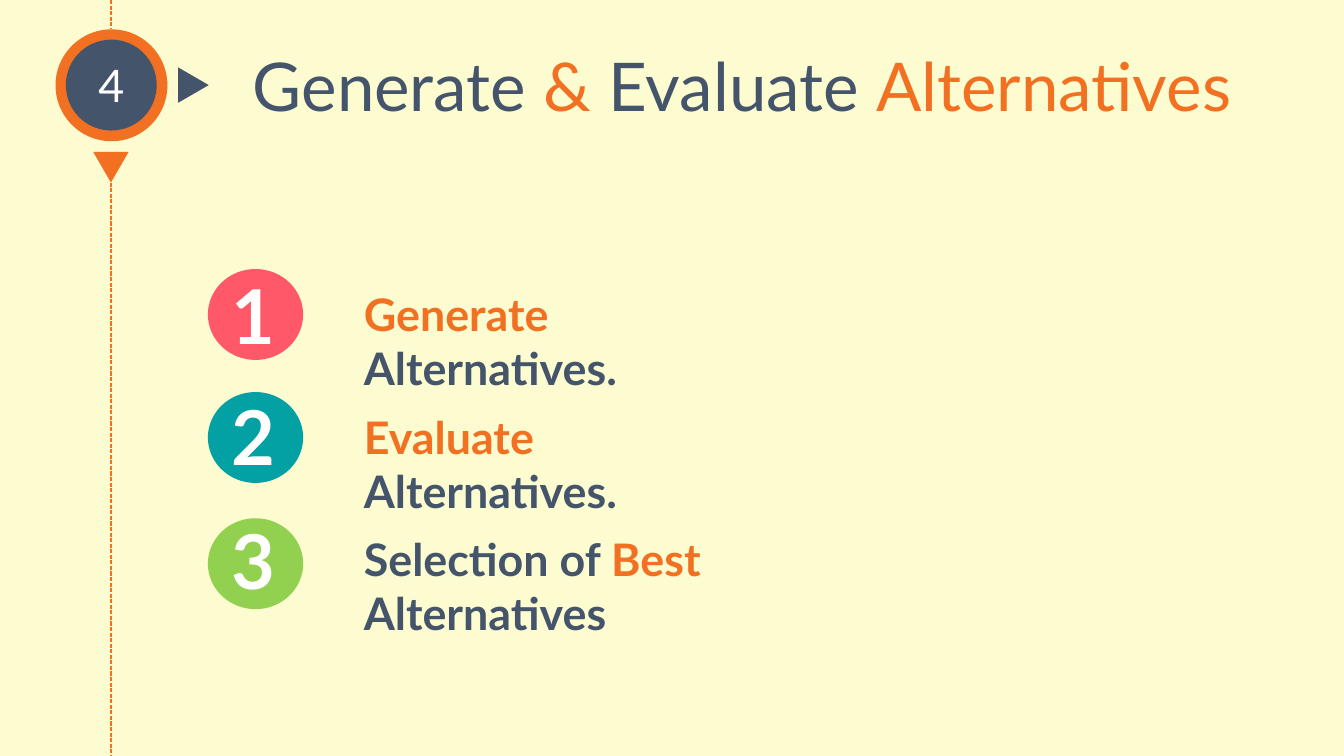
"""Build the decision-step slide on generating and evaluating alternatives."""
from lxml.etree import SubElement
from pptx import Presentation
from pptx.dml.color import RGBColor
from pptx.enum.dml import MSO_LINE
from pptx.enum.shapes import MSO_CONNECTOR, MSO_SHAPE as Preset
from pptx.enum.text import MSO_ANCHOR as Anchor, MSO_AUTO_SIZE as AutoSize, PP_ALIGN as Align
from pptx.oxml.ns import qn
from pptx.util import Cm, Pt

CREAM = RGBColor(0xFD, 0xFB, 0xD0)
ORANGE = RGBColor(0xF2, 0x70, 0x21)
NAVY = RGBColor(0x44, 0x54, 0x6A)
WHITE = RGBColor(0xFF, 0xFF, 0xFF)
CORAL = RGBColor(0xFF, 0x59, 0x69)
TEAL = RGBColor(0x03, 0xA1, 0xA4)
GREEN = RGBColor(0x92, 0xD0, 0x50)

FONT = "Lato"
TIMELINE_X = 2.8


def write_runs(paragraph, runs, size, bold=False, align=Align.LEFT):
    """Fill a paragraph with (text, colour) runs in one style."""
    paragraph.alignment = align
    paragraph.font.name = FONT
    paragraph.font.size = Pt(size)
    paragraph.font.bold = bold
    for text, colour in runs:
        run = paragraph.add_run()
        run.text = text
        run.font.color.rgb = colour


def add_preset(slide, preset, left, top, width, height, colour, rotation=0):
    """Add a flat preset shape without outline."""
    shape = slide.shapes.add_shape(preset, Cm(left), Cm(top), Cm(width), Cm(height))
    shape.shadow.inherit = False
    shape.fill.solid()
    shape.fill.fore_color.rgb = colour
    shape.line.fill.background()
    shape.rotation = rotation
    return shape


def add_timeline(slide, top, bottom):
    """Add a dashed vertical part of the timeline."""
    line = slide.shapes.add_connector(
        MSO_CONNECTOR.STRAIGHT, Cm(TIMELINE_X), Cm(top), Cm(TIMELINE_X), Cm(bottom))
    line.line.color.rgb = ORANGE
    line.line.width = Pt(1)
    line.line.dash_style = MSO_LINE.SQUARE_DOT
    SubElement(line.element.spPr, qn("a:effectLst"))


def add_text(slide, left, top, width, height, runs, size, align=Align.LEFT):
    """Add a wrapping text box with one bold paragraph."""
    box = slide.shapes.add_textbox(Cm(left), Cm(top), Cm(width), Cm(height))
    box.text_frame.word_wrap = True
    write_runs(box.text_frame.paragraphs[0], runs, size, True, align)


def add_title(slide, runs):
    """Move and fill the title placeholder."""
    title = slide.shapes.title
    title.left, title.top, title.width, title.height = Cm(6.12), Cm(1), Cm(25.96), Cm(2.31)
    frame = title.text_frame
    frame.auto_size = AutoSize.NONE
    frame.vertical_anchor = Anchor.TOP
    write_runs(frame.paragraphs[0], runs, 48)


def add_step_badge(slide, number):
    """Add the ringed step number with its two pointers."""
    add_preset(slide, Preset.OVAL, 1.4, 0.74, 2.82, 2.82, ORANGE)
    badge = add_preset(slide, Preset.OVAL, 1.66, 1, 2.29, 2.29, NAVY)
    badge.text_frame.vertical_anchor = Anchor.MIDDLE
    write_runs(badge.text_frame.paragraphs[0], [(number, WHITE)], 32, align=Align.CENTER)
    add_preset(slide, Preset.ISOSCELES_TRIANGLE, 2.35, 3.83, 0.89, 0.77, ORANGE, 180)
    add_preset(slide, Preset.ISOSCELES_TRIANGLE, 4.43, 1.76, 0.89, 0.77, NAVY, 90)


def add_item(slide, number, colour, circle_top, number_top, label_top, label_width, runs):
    """Add a numbered circle and its label."""
    add_preset(slide, Preset.OVAL, 5.24, circle_top, 2.4, 2.29, colour)
    add_text(slide, 5.59, number_top, 1.6, 2.57, [(str(number), WHITE)], 54, Align.RIGHT)
    add_text(slide, 8.92, label_top, label_width, 1.63, runs, 32)


def main():
    """Build and save the slide."""
    presentation = Presentation()
    presentation.slide_width, presentation.slide_height = Cm(33.87), Cm(19.05)
    slide = presentation.slides.add_slide(presentation.slide_layouts[5])
    slide.background.fill.solid()
    slide.background.fill.fore_color.rgb = CREAM

    add_step_badge(slide, "4")
    add_timeline(slide, 4.6, 19.05)
    add_timeline(slide, 0, 0.74)
    add_title(slide, [("Generate ", NAVY), ("&", ORANGE),
                      (" Evaluate ", NAVY), ("Alternatives", ORANGE)])

    items = [
        (CORAL, 6.78, 6.65, 7.11, 11.43, [("Generate", ORANGE), (" Alternatives.", NAVY)]),
        (TEAL, 9.88, 9.7, 10.21, 11.13, [("Evaluate", ORANGE), (" Alternatives.", NAVY)]),
        (GREEN, 13.06, 12.83, 13.28, 14.83,
         [("Selection of ", NAVY), ("Best", ORANGE), (" Alternatives", NAVY)]),
    ]
    for number, item in enumerate(items, start=1):
        add_item(slide, number, *item)

    presentation.save("out.pptx")


if __name__ == "__main__":
    main()
